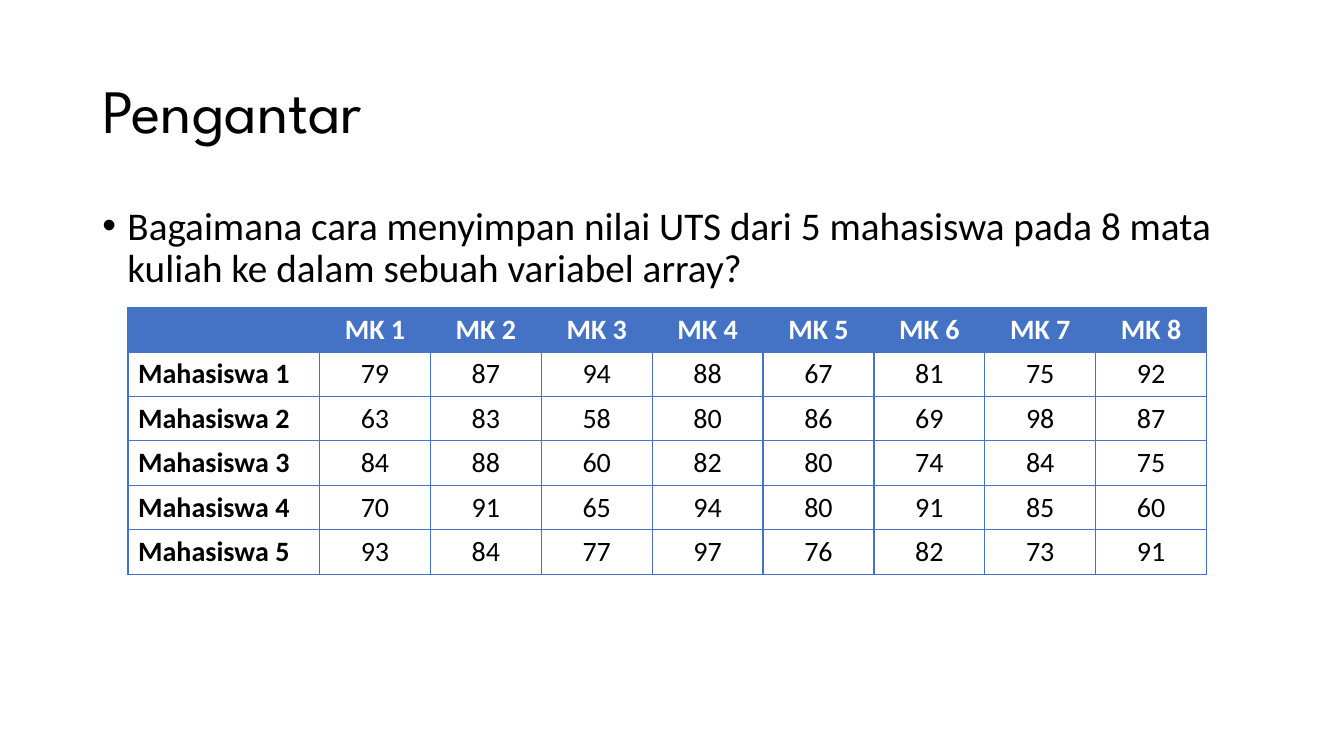
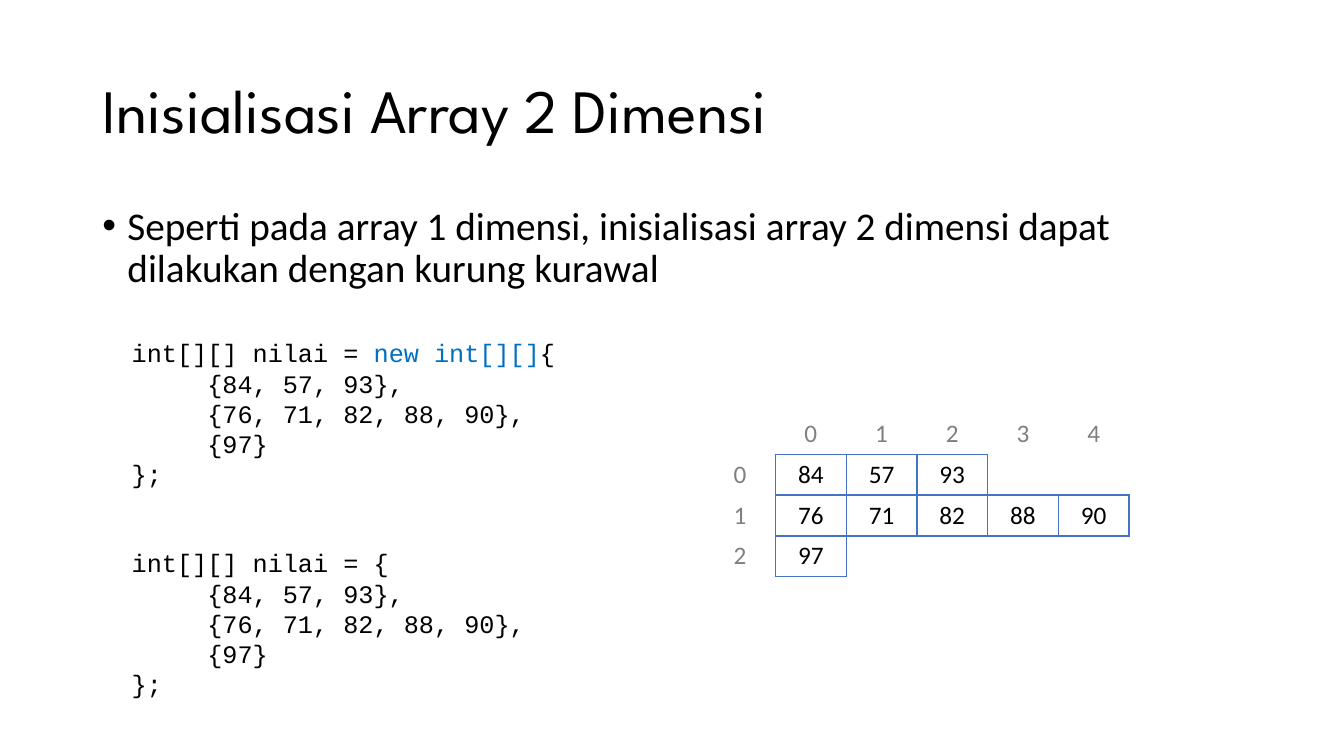
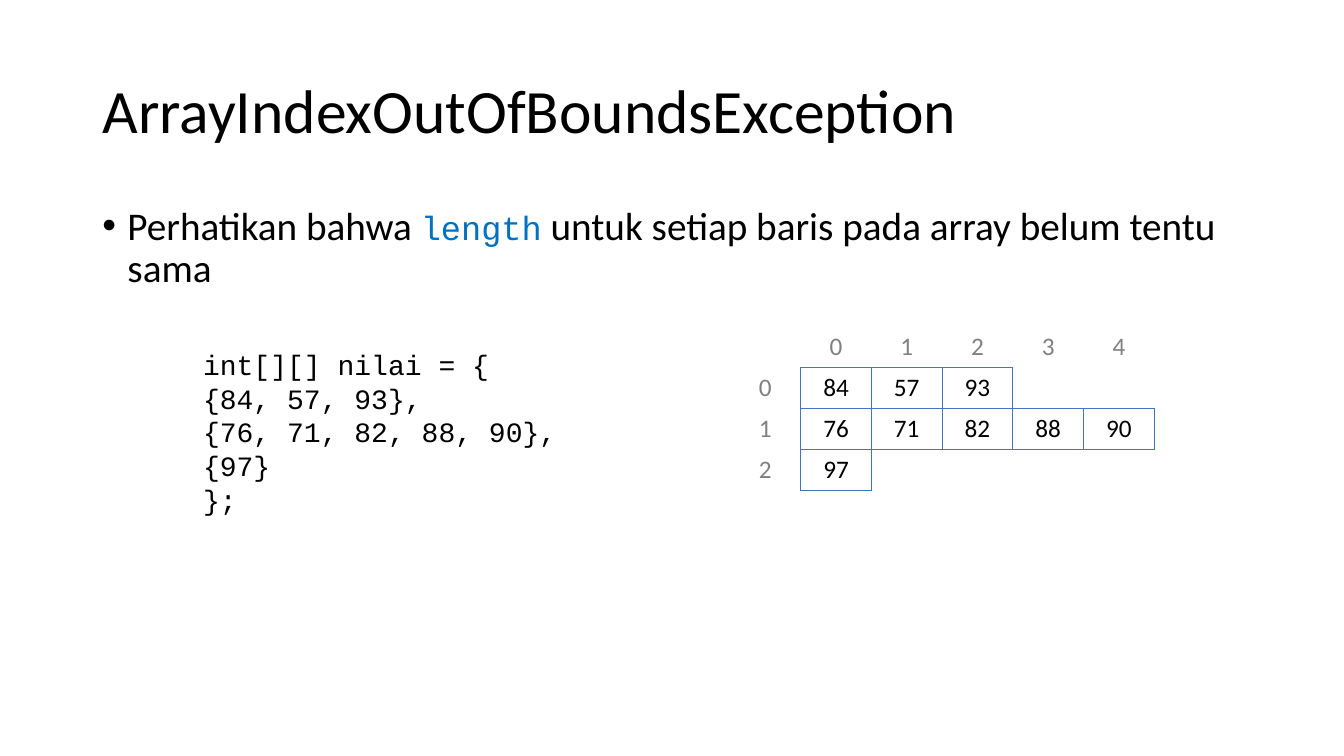
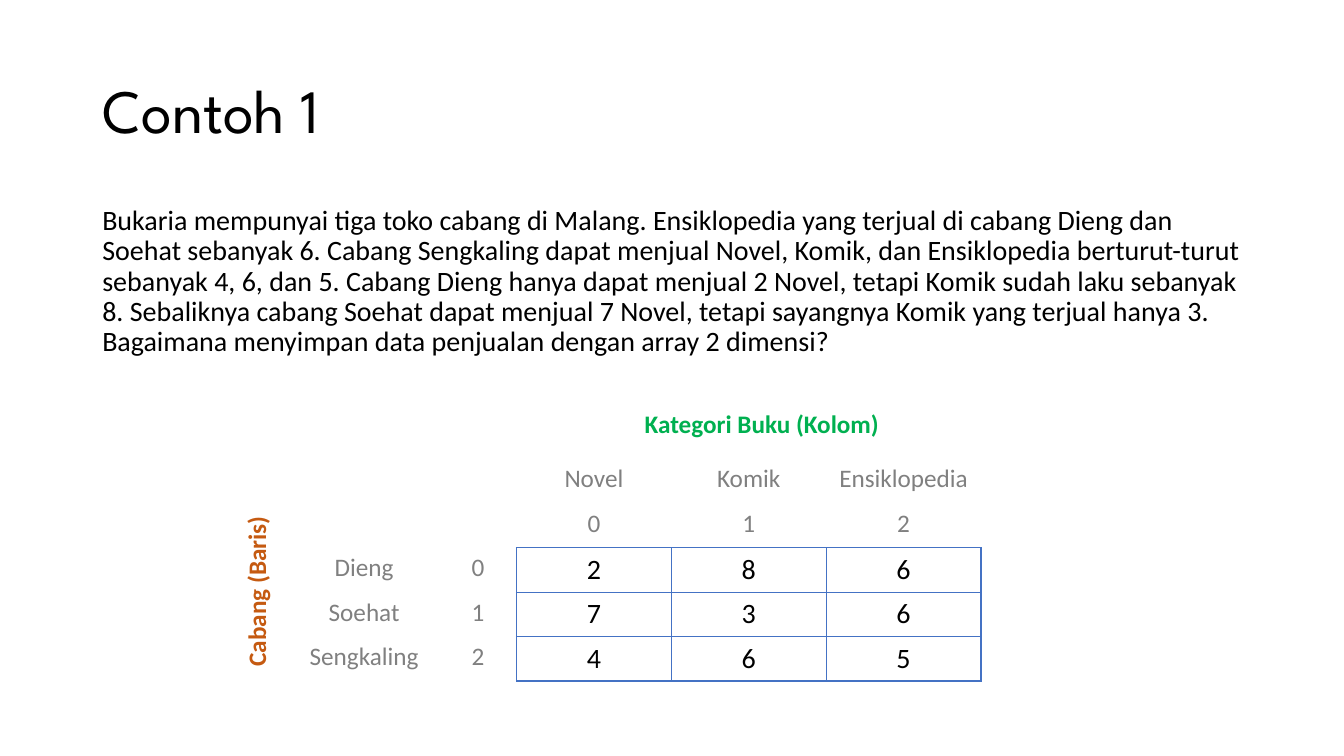
import dataclasses

import lxml.etree
import pptx
import pptx.dml.color
import pptx.enum.text
import pptx.oxml.ns
import pptx.util

GRID_COLUMNS, GRID_ROWS = 160, 90
UNIT = pptx.util.Inches(7.5) // GRID_ROWS
ALIGN = pptx.enum.text.PP_ALIGN
ANCHOR = pptx.enum.text.MSO_ANCHOR
TITLE_ONLY = 5


@dataclasses.dataclass(frozen=True)
class TextStyle:
    size: int
    font: str = "Calibri"
    color: str = "000000"
    bold: bool = False


@dataclasses.dataclass(frozen=True)
class CellLook:
    text: TextStyle
    align: ALIGN = ALIGN.CENTER
    boxed: bool = True
    fill: str = ""


@dataclasses.dataclass(frozen=True)
class Theme:
    line: str = "4472C4"
    line_width: float = 1
    line_spacing: float = 0.9
    title: TextStyle = TextStyle(44, "League Spartan")
    class_title: TextStyle = TextStyle(44)
    body: TextStyle = TextStyle(28)
    story: TextStyle = TextStyle(20)
    keyword: TextStyle = TextStyle(24, "Courier New", "0070C0")
    code: TextStyle = TextStyle(18, "Courier New")
    code_accent: TextStyle = TextStyle(18, "Courier New", "0070C0")
    large_code: TextStyle = TextStyle(20, "Courier New")
    column_axis: TextStyle = TextStyle(18, color="00B050", bold=True)
    row_axis: TextStyle = TextStyle(18, color="C55A11", bold=True)
    header: CellLook = CellLook(TextStyle(20, color="FFFFFF", bold=True), fill="4472C4")
    row_name: CellLook = CellLook(TextStyle(20, bold=True), ALIGN.LEFT)
    score: CellLook = CellLook(TextStyle(20))
    index: CellLook = CellLook(TextStyle(18, color="808080"), boxed=False)
    value: CellLook = CellLook(TextStyle(18))


THEME = Theme()

SCORES = [
    [79, 87, 94, 88, 67, 81, 75, 92],
    [63, 83, 58, 80, 86, 69, 98, 87],
    [84, 88, 60, 82, 80, 74, 84, 75],
    [70, 91, 65, 94, 80, 91, 85, 60],
    [93, 84, 77, 97, 76, 82, 73, 91],
]
JAGGED = [[84, 57, 93], [76, 71, 82, 88, 90], [97]]
JAGGED_CODE = ["{84, 57, 93},", "{76, 71, 82, 88, 90},", "{97}"]
SALES = [
    ["", "", "Novel", "Komik", "Ensiklopedia"],
    ["", "", 0, 1, 2],
    ["Dieng", 0, 2, 8, 6],
    ["Soehat", 1, 7, 3, 6],
    ["Sengkaling", 2, 4, 6, 5],
]


def grid(*units):
    """Turn grid units into lengths."""
    return [pptx.util.Emu(round(unit * UNIT)) for unit in units]


def rgb(color):
    return pptx.dml.color.RGBColor.from_string(color)


def write(paragraph, pieces):
    """Write (text, style) pieces as the runs of a paragraph."""
    for text, style in pieces:
        run = paragraph.add_run()
        run.text = text
        run.font.size = pptx.util.Pt(style.size)
        run.font.name = style.font
        run.font.bold = style.bold
        run.font.color.rgb = rgb(style.color)


def add_titled_slide(deck, text, style=THEME.title):
    slide = deck.slides.add_slide(deck.slide_layouts[TITLE_ONLY])
    title = slide.shapes.title
    title.left, title.top, title.width, title.height = grid(11, 4.8, 138, 17.4)
    frame = title.text_frame
    frame.vertical_anchor = ANCHOR.MIDDLE
    frame.auto_size = pptx.enum.text.MSO_AUTO_SIZE.NONE
    paragraph = frame.paragraphs[0]
    paragraph.alignment = ALIGN.LEFT
    paragraph.line_spacing = THEME.line_spacing
    write(paragraph, [(text, style)])
    return slide


def add_text(slide, box, pieces):
    """Add a wrapped text box and return it with its first paragraph."""
    shape = slide.shapes.add_textbox(*grid(*box))
    shape.text_frame.word_wrap = True
    paragraph = shape.text_frame.paragraphs[0]
    write(paragraph, pieces)
    return shape, paragraph


def indent(paragraph, left, first=0):
    properties = paragraph._p.get_or_add_pPr()
    for name, length in zip(("marL", "indent"), grid(left, first)):
        properties.set(name, str(length))
    return properties


def add_body(slide, pieces, height=57.1, bulleted=True):
    _, paragraph = add_text(slide, (11, 24, 138, height), pieces)
    paragraph.line_spacing = THEME.line_spacing
    if bulleted:
        properties = indent(paragraph, 3, -3)
        for tag, name, value in (("a:buFont", "typeface", "Arial"), ("a:buChar", "char", "•")):
            lxml.etree.SubElement(properties, pptx.oxml.ns.qn(tag)).set(name, value)


def add_code(slide, left, top, opening, style, row_indent=0):
    """Add an array initialiser: opening line, one line for each row, closing line."""
    shape, _ = add_text(slide, (left, top, 79, 19.4), opening)
    for line in JAGGED_CODE + ["};"]:
        paragraph = shape.text_frame.add_paragraph()
        write(paragraph, [(line, style)])
        if line in JAGGED_CODE:
            indent(paragraph, row_indent)


def add_axis_name(slide, box, text, style, rotation=0):
    shape, paragraph = add_text(slide, box, [(text, style)])
    paragraph.alignment = ALIGN.CENTER
    shape.rotation = rotation


def draw_border(cell, tag, visible):
    properties = cell._tc.get_or_add_tcPr()
    line = lxml.etree.SubElement(properties, pptx.oxml.ns.qn(tag))
    if visible:
        line.set("w", str(pptx.util.Pt(THEME.line_width)))
        fill = lxml.etree.SubElement(line, pptx.oxml.ns.qn("a:solidFill"))
        lxml.etree.SubElement(fill, pptx.oxml.ns.qn("a:srgbClr")).set("val", THEME.line)
    else:
        lxml.etree.SubElement(line, pptx.oxml.ns.qn("a:noFill"))


def add_data_table(slide, left, top, widths, row_height, rows, look_at):
    """Add a table; look_at(row, column) gives each cell's look.

    Empty cells are left unboxed unless they are filled. An edge shows when
    a cell on either side of it is boxed.
    """
    box = grid(left, top, sum(widths), row_height * len(rows))
    table = slide.shapes.add_table(len(rows), len(widths), *box).table
    table.first_row = table.horz_banding = False
    for column, width in zip(table.columns, grid(*widths)):
        column.width = width
    for row in table.rows:
        row.height = grid(row_height)[0]

    looks = {(r, c): look_at(r, c) for r in range(len(rows)) for c in range(len(widths))}
    boxed = {
        (r, c) for (r, c), look in looks.items()
        if look.boxed and (rows[r][c] != "" or look.fill)
    }
    neighbours = {"a:lnL": (0, -1), "a:lnR": (0, 1), "a:lnT": (-1, 0), "a:lnB": (1, 0)}
    for (r, c), look in looks.items():
        cell = table.cell(r, c)
        for tag, (down, across) in neighbours.items():
            draw_border(cell, tag, bool(boxed & {(r, c), (r + down, c + across)}))
        if look.fill:
            cell.fill.solid()
            cell.fill.fore_color.rgb = rgb(look.fill)
        else:
            cell.fill.background()
        paragraph = cell.text_frame.paragraphs[0]
        paragraph.alignment = look.align
        if rows[r][c] != "":
            write(paragraph, [(str(rows[r][c]), look.text)])


def add_jagged_table(slide, left, top):
    size = max(map(len, JAGGED))
    rows = [["", *range(size)]]
    for number, values in enumerate(JAGGED):
        rows.append([number, *values] + [""] * (size - len(values)))
    add_data_table(slide, left, top, [8.42] * (size + 1), 4.87, rows,
                   lambda r, c: THEME.value if r and c else THEME.index)


def score_look(row, column):
    if row == 0:
        return THEME.header
    return THEME.score if column else THEME.row_name


def build_introduction(deck):
    slide = add_titled_slide(deck, "Pengantar")
    add_body(slide, [("Bagaimana cara menyimpan nilai UTS dari 5 mahasiswa pada 8 mata "
                      "kuliah ke dalam sebuah variabel array?", THEME.body)])
    courses = len(SCORES[0])
    rows = [[""] + [f"MK {number + 1}" for number in range(courses)]]
    rows += [[f"Mahasiswa {number}", *scores] for number, scores in enumerate(SCORES, 1)]
    add_data_table(slide, 15.24, 36.6, [22.8] + [13.2] * courses, 5.3, rows, score_look)


def build_initialisation(deck):
    slide = add_titled_slide(deck, "Inisialisasi Array 2 Dimensi")
    add_body(slide, [("Seperti pada array 1 dimensi, inisialisasi array 2 dimensi dapat "
                      "dilakukan dengan kurung kurawal", THEME.body)])
    long_form = [("int[][] nilai = ", THEME.code), ("new int[][]", THEME.code_accent),
                 ("{", THEME.code)]
    short_form = [("int[][] nilai = {", THEME.code)]
    for top, opening in ((39.6, long_form), (64.6, short_form)):
        add_code(slide, 14.5, top, opening, THEME.code, row_indent=9)
    add_jagged_table(slide, 83.9, 49.2)


def build_exception(deck):
    slide = add_titled_slide(deck, "ArrayIndexOutOfBoundsException", THEME.class_title)
    add_body(slide, [("Perhatikan bahwa ", THEME.body), ("length", THEME.keyword),
                     (" untuk setiap baris pada array belum tentu sama", THEME.body)])
    add_code(slide, 23, 40.8, [("int[][] nilai = {", THEME.large_code)], THEME.large_code)
    add_jagged_table(slide, 86.9, 38.9)


def build_example(deck):
    slide = add_titled_slide(deck, "Contoh 1")
    story = (
        "Bukaria mempunyai tiga toko cabang di Malang. Ensiklopedia yang terjual di cabang "
        "Dieng dan Soehat sebanyak 6. Cabang Sengkaling dapat menjual Novel, Komik, dan "
        "Ensiklopedia berturut-turut sebanyak 4, 6, dan 5. Cabang Dieng hanya dapat menjual "
        "2 Novel, tetapi Komik sudah laku sebanyak 8. Sebaliknya cabang Soehat dapat menjual "
        "7 Novel, tetapi sayangnya Komik yang terjual hanya 3. Bagaimana menyimpan data "
        "penjualan dengan array 2 dimensi?"
    )
    add_body(slide, [(story, THEME.story)], height=24.7, bulleted=False)
    add_data_table(slide, 34.4, 54.6, [17.9, 9.2] + [18.43] * 3, 5.3, SALES,
                   lambda r, c: THEME.score if r > 1 and c > 1 else THEME.index)
    add_axis_name(slide, (17.5, 68, 26, 4.8), "Cabang (Baris)", THEME.row_axis, 270)
    add_axis_name(slide, (75.1, 48, 31.2, 4.8), "Kategori Buku (Kolom)", THEME.column_axis)


def main():
    deck = pptx.Presentation()
    deck.slide_width, deck.slide_height = grid(GRID_COLUMNS, GRID_ROWS)
    build_introduction(deck)
    build_initialisation(deck)
    build_exception(deck)
    build_example(deck)
    deck.save("out.pptx")


if __name__ == "__main__":
    main()
